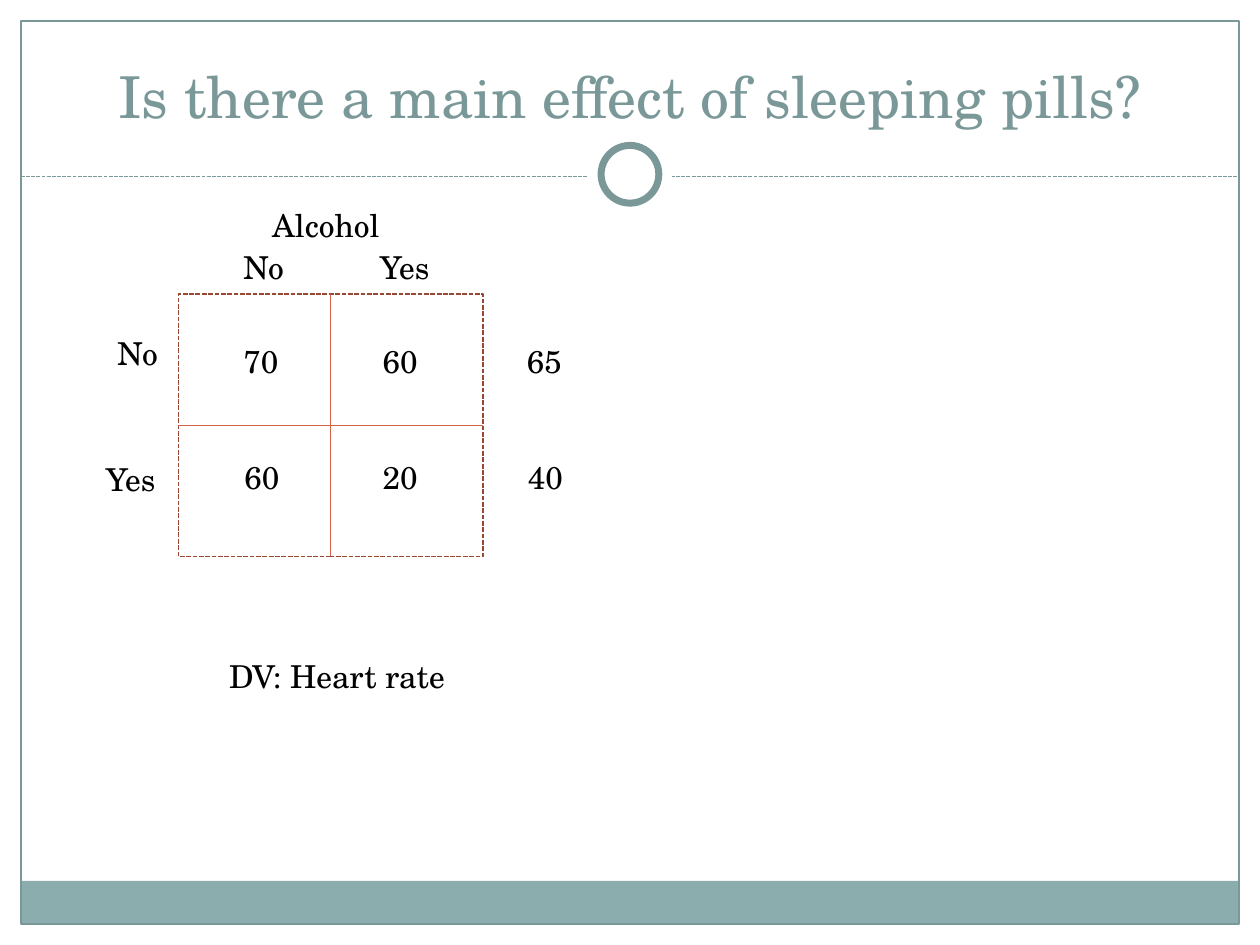
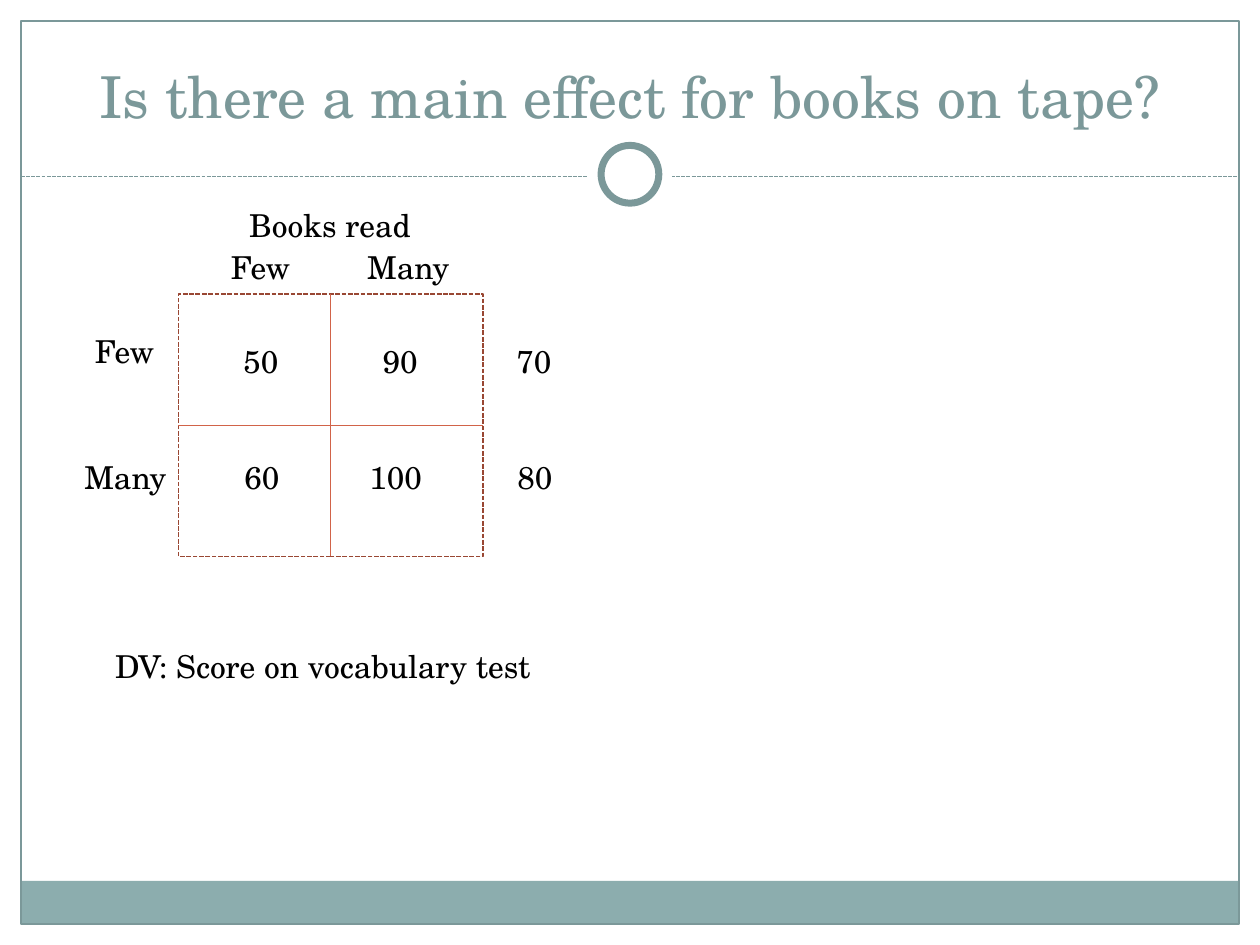
from dataclasses import dataclass

from pptx import Presentation
from pptx.dml.color import RGBColor
from pptx.enum.dml import MSO_LINE_DASH_STYLE as Dash
from pptx.enum.shapes import MSO_CONNECTOR as Connector, MSO_SHAPE as Shape
from pptx.enum.text import MSO_ANCHOR as Anchor, MSO_AUTO_SIZE as AutoSize, PP_ALIGN as Align
from pptx.oxml.ns import qn
from pptx.util import Inches, Pt
from lxml.etree import SubElement

# Grid: 120 columns by 90 rows, so one unit is a twelfth of an inch
COLUMNS, ROWS = 120, 90
UNIT = Inches(10) / COLUMNS
MARGIN = 2
INNER = COLUMNS - 2 * MARGIN

# Shared style
FONT = "TeX Gyre Schola"
WHITE, BLACK = "FFFFFF", "000000"
TEAL, BAND = "7B9899", "8CADAE"
BRICK, ORANGE = "994733", "D16349"

# Two-by-two design square: left, top, width, height
SQUARE = (17, 28, 29, 25)
CELL_ROWS = (32, 43)
LABEL_HEIGHT = 4.8
LEVEL_WIDTHS = {"No": 6.4, "Yes": 7.2, "Few": 8.3, "Many": 10.6}


@dataclass
class Study:
    title: str
    factor: tuple       # text, left, width
    column_levels: list  # text, left
    row_levels: list    # text, left, top
    scores: list        # rows of (text, left); the last is the row mean
    measure: tuple      # text, left, top, width


STUDIES = [
    Study(
        "Is there a main effect of sleeping pills?",
        ("Alcohol", 24.75, 13.2),
        [("No", 22), ("Yes", 35)],
        [("No", 10, 31.2), ("Yes", 8.9, 43.2)],
        [[("70", 22), ("60", 35.25), ("65", 49)],
         [("60", 22.1), ("20", 35.25), ("40", 49.1)]],
        ("DV: Heart rate", 20.65, 62, 22.9),
    ),
    Study(
        "Is there a main effect for books on tape?",
        ("Books read", 22.55, 18.25),
        [("Few", 20.8), ("Many", 33.8)],
        [("Few", 7.85, 31), ("Many", 6.85, 43)],
        [[("50", 22), ("90", 35.25), ("70", 48)],
         [("60", 22.1), ("100", 34), ("80", 48.1)]],
        ("DV: Score on vocabulary test", 9.8, 61, 43.2),
    ),
]


def grid(*lengths):
    return [round(length * UNIT) for length in lengths]


def color(hex_text):
    return RGBColor.from_string(hex_text)


def set_line(line, hex_text, width, dash=None):
    line.color.rgb = color(hex_text)
    line.width = Pt(width)
    if dash:
        line.dash_style = dash


def add_figure(page, area, kind=Shape.RECTANGLE, fill=None, line=None):
    figure = page.shapes.add_shape(kind, *grid(*area))
    figure.shadow.inherit = False
    if fill:
        figure.fill.solid()
        figure.fill.fore_color.rgb = color(fill)
    else:
        figure.fill.background()
    if line:
        set_line(figure.line, *line)
    else:
        figure.line.fill.background()
    return figure


def add_rule(page, ends, *line):
    rule = page.shapes.add_connector(Connector.STRAIGHT, *grid(*ends))
    set_line(rule.line, *line)
    SubElement(rule.element.spPr, qn("a:effectLst"))
    return rule


def write(frame, text, size=18, ink=BLACK, align=Align.LEFT):
    para = frame.paragraphs[0]
    para.alignment = align
    span = para.add_run()
    span.text = text
    span.font.name = FONT
    span.font.size = Pt(size)
    span.font.color.rgb = color(ink)


def add_label(page, text, left, top, width):
    box = page.shapes.add_textbox(*grid(left, top, width, LABEL_HEIGHT))
    box.text_frame.word_wrap = False
    box.text_frame.auto_size = AutoSize.SHAPE_TO_FIT_TEXT
    write(box.text_frame, text)


def move_frame_to_layout(page):
    """Draw the shared frame and hand it to the layout, behind its placeholders."""
    parts = [
        add_figure(page, (0, 0, COLUMNS, 18.2), fill=WHITE),
        add_figure(page, (0, 0, MARGIN, ROWS), fill=WHITE),
        add_figure(page, (COLUMNS - MARGIN, 0, MARGIN, ROWS), fill=WHITE),
        add_figure(page, (MARGIN, 83.9, INNER, 4.1), fill=BAND),
        add_figure(page, (MARGIN, MARGIN, INNER, ROWS - 2 * MARGIN), line=(TEAL, 0.75)),
        add_rule(page, (MARGIN, 16.8, COLUMNS - MARGIN, 16.8), TEAL, 0.75, Dash.SQUARE_DOT),
        add_figure(page, (56, 12.6, 8, 8), Shape.OVAL, fill=WHITE),
        add_figure(page, (57.25, 13.85, 5.5, 5.5), Shape.OVAL, fill=WHITE, line=(TEAL, 4)),
    ]
    tree = page.slide_layout.shapes.element
    for index, part in enumerate(parts, start=2):
        tree.insert(index, part.element)


def set_title(page, text):
    title = page.shapes.title
    title.left, title.top, title.width, title.height = grid(4, 3, 112, 10)
    title.text_frame.vertical_anchor = Anchor.BOTTOM
    title.text_frame.auto_size = AutoSize.NONE
    write(title.text_frame, text, size=33, ink=TEAL, align=Align.CENTER)


def add_square(page):
    left, top, width, height = SQUARE
    middle_x, middle_y = left + width / 2, top + height / 2
    add_figure(page, SQUARE, line=(BRICK, 0.91, Dash.SQUARE_DOT))
    add_rule(page, (middle_x, top, middle_x, top + height), ORANGE, 0.75)
    add_rule(page, (left, middle_y, left + width, middle_y), ORANGE, 0.75)


def add_labels(page, study):
    # Factor and its levels
    factor, left, width = study.factor
    add_label(page, factor, left, 19, width)
    for level, left in study.column_levels:
        add_label(page, level, left, 23, LEVEL_WIDTHS[level])
    for level, left, top in study.row_levels:
        add_label(page, level, left, top, LEVEL_WIDTHS[level])
    add_label(page, *study.measure)
    # Cell scores and row means, as wide as their digits
    for top, scores in zip(CELL_ROWS, study.scores):
        for score, left in scores:
            add_label(page, score, left, top, 2.4 + 1.68 * len(score))


def main():
    deck = Presentation()
    deck.slide_width, deck.slide_height = grid(COLUMNS, ROWS)
    layout = deck.slide_layouts.get_by_name("Title Only")
    for number, study in enumerate(STUDIES):
        page = deck.slides.add_slide(layout)
        if number == 0:
            move_frame_to_layout(page)
        set_title(page, study.title)
        add_square(page)
        add_labels(page, study)
    deck.save("out.pptx")


if __name__ == "__main__":
    main()
